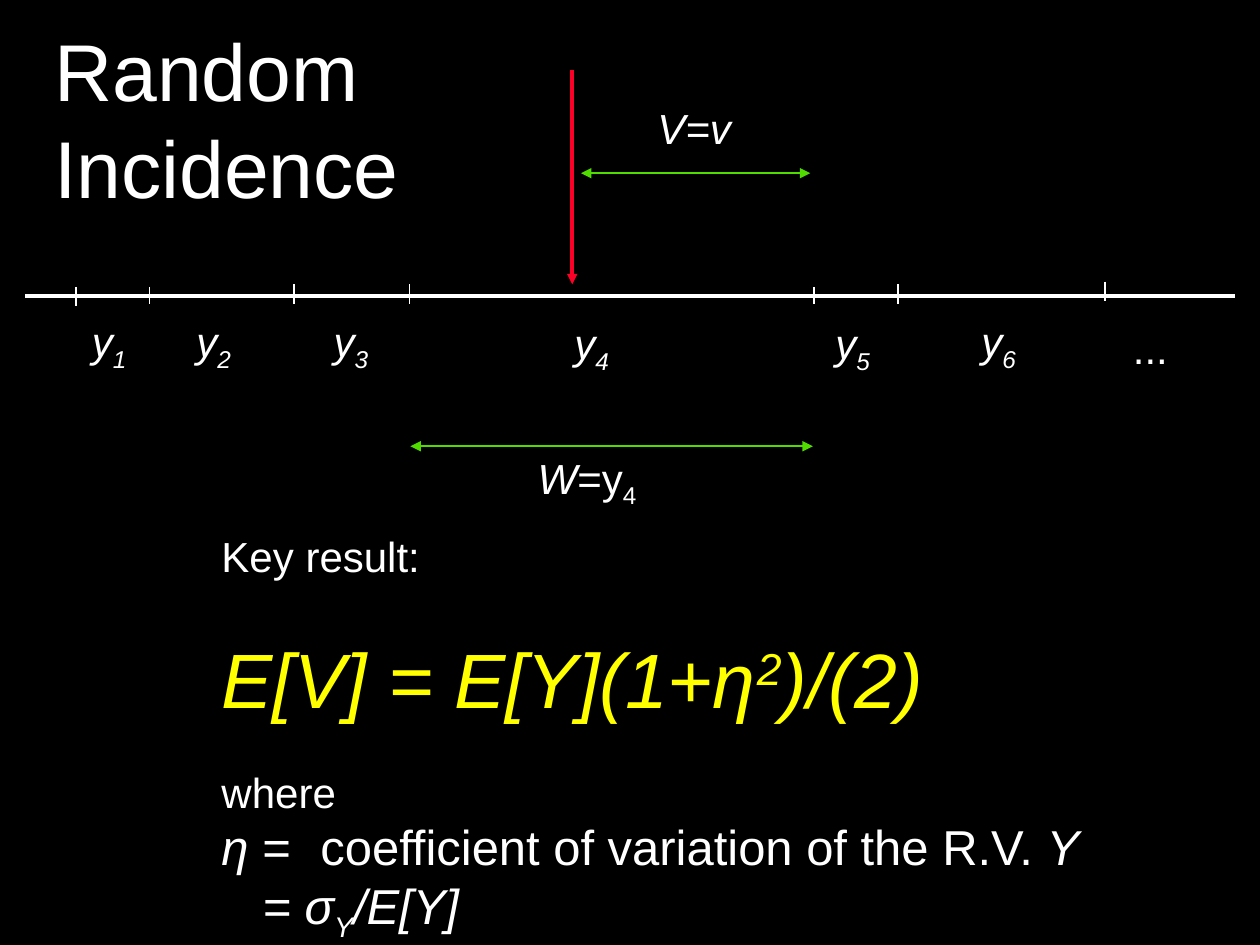
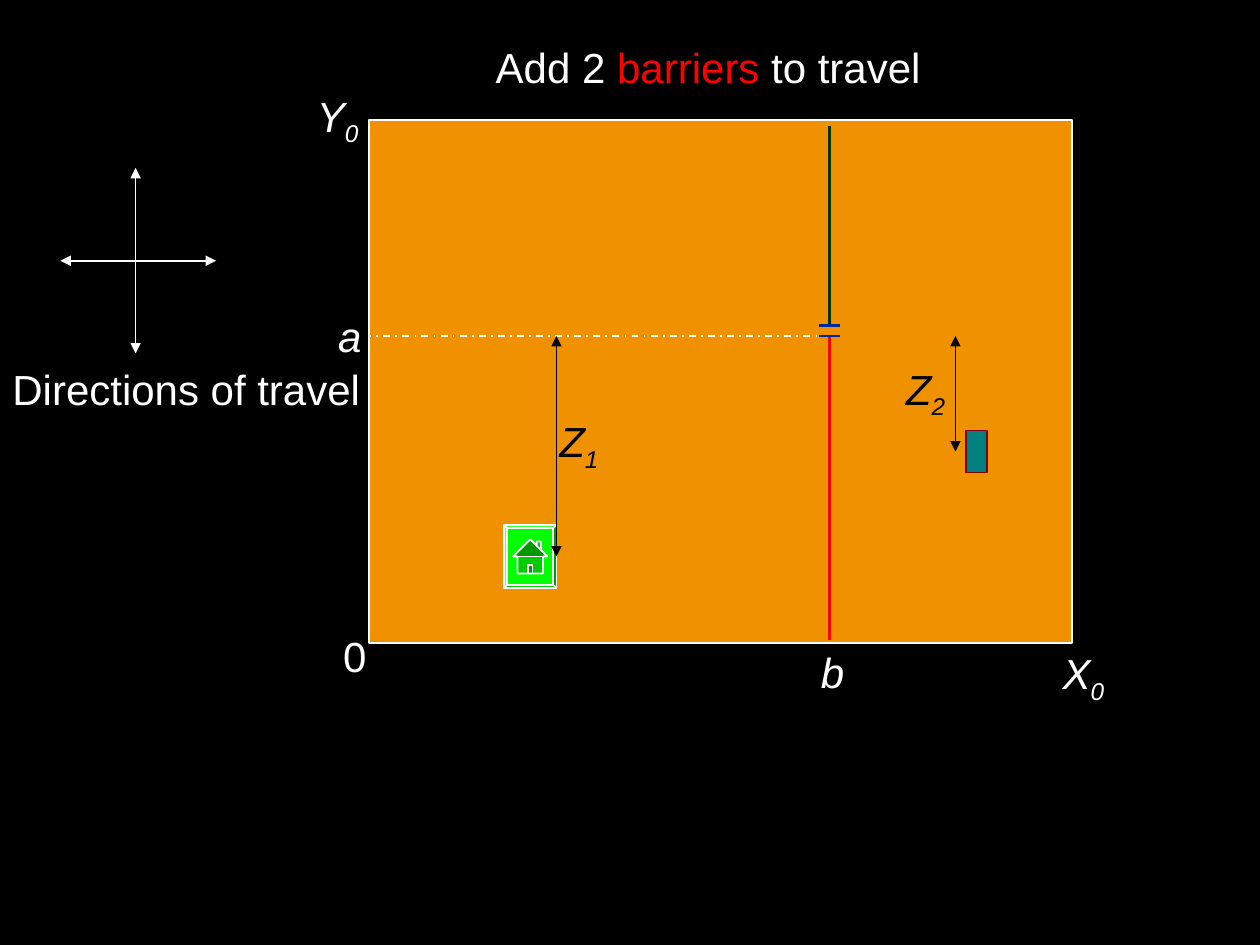
from dataclasses import dataclass
from typing import Optional

from lxml import etree
from pptx import Presentation
from pptx.dml.color import RGBColor
from pptx.enum import dml, shapes, text
from pptx.oxml import ns
from pptx.util import Pt


@dataclass(frozen=True)
class Theme:
    font: str = "Arial"
    black: str = "000000"
    white: str = "FFFFFF"
    yellow: str = "FFFF00"
    arrival: str = "FC0128"
    interval: str = "51DC00"
    region: str = "EF9100"
    barrier: str = "FF0000"
    upper_barrier: str = "003300"
    gap: str = "00279F"
    building: str = "008080"
    building_edge: str = "800000"
    home: str = "00FF00"
    label: int = 24
    definition: int = 28
    formula: int = 44
    title: int = 46
    hairline: float = 1
    barrier_line: float = 1.5
    axis_line: float = 2


@dataclass(frozen=True)
class Span:
    text: str
    italic: bool = False
    baseline: int = 0
    colour: Optional[str] = None


@dataclass(frozen=True)
class Para:
    spans: tuple
    size: int
    colour: str
    before: float = 0
    indent: float = 0
    tab: float = 0


def symbol(letter, index=""):
    """Italic letter, with a subscript where one is given."""
    spans = (Span(letter, italic=True),)
    if index:
        spans += (Span(index, italic=True, baseline=-25),)
    return spans


def colour_of(value):
    return RGBColor.from_string(value)


class Sketch:
    def __init__(self, theme):
        self.theme = theme
        self.deck = Presentation()
        self.deck.slide_width, self.deck.slide_height = Pt(720), Pt(540)
        backdrop = self.deck.slide_master.background.fill
        backdrop.solid()
        backdrop.fore_color.rgb = colour_of(theme.black)
        self.page = None

    def new_page(self):
        self.page = self.deck.slides.add_slide(self.deck.slide_layouts[6])

    def line(self, start, end, colour, width=None, head=False, tail=False, dash=None):
        connector = self.page.shapes.add_connector(
            shapes.MSO_CONNECTOR.STRAIGHT, *map(Pt, start + end))
        connector.line.color.rgb = colour_of(colour)
        connector.line.width = Pt(width or self.theme.hairline)
        if dash:
            connector.line.dash_style = dash
        outline = connector.line._get_or_add_ln()
        for tag, wanted in (("a:headEnd", head), ("a:tailEnd", tail)):
            if wanted:
                etree.SubElement(outline, ns.qn(tag), type="triangle")
        etree.SubElement(connector._element.spPr, ns.qn("a:effectLst"))

    def span_arrow(self, start, end, colour):
        self.line(start, end, colour, head=True, tail=True)

    def shape(self, kind, left, top, width, height, fill, edge):
        box = self.page.shapes.add_shape(kind, *map(Pt, (left, top, width, height)))
        box.shadow.inherit = False
        box.fill.solid()
        box.fill.fore_color.rgb = colour_of(fill)
        box.line.color.rgb = colour_of(edge)
        box.line.width = Pt(self.theme.hairline)
        return box

    def text(self, left, top, width, height, paras):
        box = self.page.shapes.add_textbox(*map(Pt, (left, top, width, height)))
        frame = box.text_frame
        frame.word_wrap = False
        frame.auto_size = text.MSO_AUTO_SIZE.SHAPE_TO_FIT_TEXT
        for number, content in enumerate(paras):
            para = frame.add_paragraph() if number else frame.paragraphs[0]
            if content.before:
                para.space_before = Pt(content.before)
            props = para._p.get_or_add_pPr()
            if content.indent:
                props.set("marL", str(Pt(content.indent)))
            if content.tab:
                stops = etree.SubElement(props, ns.qn("a:tabLst"))
                etree.SubElement(stops, ns.qn("a:tab"), pos=str(Pt(content.tab)), algn="l")
            for piece in content.spans:
                span = para.add_run()
                span.text = piece.text
                span.font.name = self.theme.font
                span.font.size = Pt(content.size)
                span.font.italic = piece.italic
                span.font.color.rgb = colour_of(piece.colour or content.colour)
                if piece.baseline:
                    span._r.get_or_add_rPr().set("baseline", str(piece.baseline * 1000))

    def label(self, left, top, width, spans, colour=None):
        para = Para(spans, self.theme.label, colour or self.theme.white)
        self.text(left, top, width, 36, [para])


def random_incidence(sketch):
    theme = sketch.theme
    sketch.new_page()

    sketch.line((14.4, 169.3), (705.6, 169.3), theme.white, theme.axis_line)
    ticks = ((43.5, 164, 175), (85.5, 164, 173.5), (168, 162.5, 173.5), (234, 162.5, 173.5),
             (465, 164, 173.5), (513, 162.5, 173.5), (631.5, 161, 172))
    for x, top, bottom in ticks:
        sketch.line((x, top), (x, bottom), theme.white)
    sketch.line((327, 40), (327, 162.5), theme.arrival, theme.axis_line, tail=True)
    sketch.span_arrow((332, 99), (463, 99), theme.interval)
    sketch.span_arrow((234.5, 255), (464.5, 255), theme.interval)

    gap_labels = ((45.4, 177), (105.1, 177), (183.6, 177), (321.1, 178),
                  (470.2, 178), (553.7, 177))
    for number, (left, top) in enumerate(gap_labels, start=1):
        sketch.label(left, top, 34, symbol("y", str(number)))
    sketch.label(640.3, 181, 34.5, (Span("..."),))
    sketch.label(368.6, 55, 59, symbol("V=v"))
    sketch.label(300.2, 255, 74, (Span("W", True), Span("=y"), Span("4", baseline=-25)))

    formula = (Span("E[V] = E[Y](1+η", True), Span("2", True, 30), Span(")/(2)", True))
    meaning = (Span("η", True), Span(" =\tcoefficient of variation of the R.V. "),
               Span("Y", True))
    ratio = (Span("= σ", True), Span("Y", True, -25), Span("/E[Y]", True))
    sketch.text(119.5, 299.5, 520.5, 276, [
        Para((Span("Key result:"),), theme.label, theme.white),
        Para(formula, theme.formula, theme.yellow, before=28.8),
        Para((Span("where"),), theme.label, theme.white, before=24.6),
        Para(meaning, theme.definition, theme.white, tab=56.5),
        Para(ratio, theme.definition, theme.white, indent=23.4),
    ])
    sketch.text(24, 8.5, 211, 118, [
        Para((Span(word),), theme.title, theme.white) for word in ("Random", "Incidence")])


def barriers_to_travel(sketch):
    theme = sketch.theme
    kinds = shapes.MSO_SHAPE
    barrier_x, gap_top, gap_bottom = 474, 186, 192
    sketch.new_page()

    sketch.shape(kinds.RECTANGLE, 211, 68.5, 401.5, 299, theme.region, theme.white)
    sketch.span_arrow((77.5, 96), (77.5, 202), theme.white)
    sketch.span_arrow((34.5, 149), (123.5, 149), theme.white)
    sketch.label(0, 204, 213, (Span("Directions of travel"),))
    sketch.label(189, 356.5, 27.5, (Span("0"),))
    sketch.label(600.2, 366.5, 38.5, symbol("X", "0"))
    sketch.label(174, 48, 38.5, symbol("Y", "0"))
    sketch.label(276.2, 20, 257, (
        Span("Add 2 "), Span("barriers", colour=theme.barrier), Span(" to travel")))

    sketch.line((barrier_x, gap_bottom), (barrier_x, 366), theme.barrier, theme.barrier_line)
    sketch.label(462, 366, 27.5, symbol("b"))
    sketch.label(186.2, 174, 27.5, symbol("a"))
    sketch.line((barrier_x, gap_bottom), (210.5, gap_bottom), theme.white,
                dash=dml.MSO_LINE.DASH_DOT)

    sketch.shape(kinds.RECTANGLE, 552, 246, 12, 24, theme.building, theme.building_edge)
    frame = sketch.shape(kinds.BEVEL, 288, 300, 30, 36, theme.home, theme.white)
    frame.adjustments[0] = 0.06
    sketch.shape(kinds.ACTION_BUTTON_HOME, 290, 302, 26, 32, theme.home, theme.white)
    sketch.label(312.5, 234, 37, symbol("Z", "1"), theme.black)
    sketch.label(510.6, 204, 37, symbol("Z", "2"), theme.black)
    for x, bottom in ((318, 318), (546, 258)):
        sketch.span_arrow((x, bottom), (x, gap_bottom), theme.black)

    sketch.line((barrier_x, gap_top), (barrier_x, 72), theme.upper_barrier,
                theme.barrier_line)
    for y in (gap_top, gap_bottom):
        sketch.line((barrier_x - 6, y), (barrier_x + 6, y), theme.gap, theme.barrier_line)


def main():
    sketch = Sketch(Theme())
    random_incidence(sketch)
    barriers_to_travel(sketch)
    sketch.deck.save("out.pptx")


if __name__ == "__main__":
    main()
